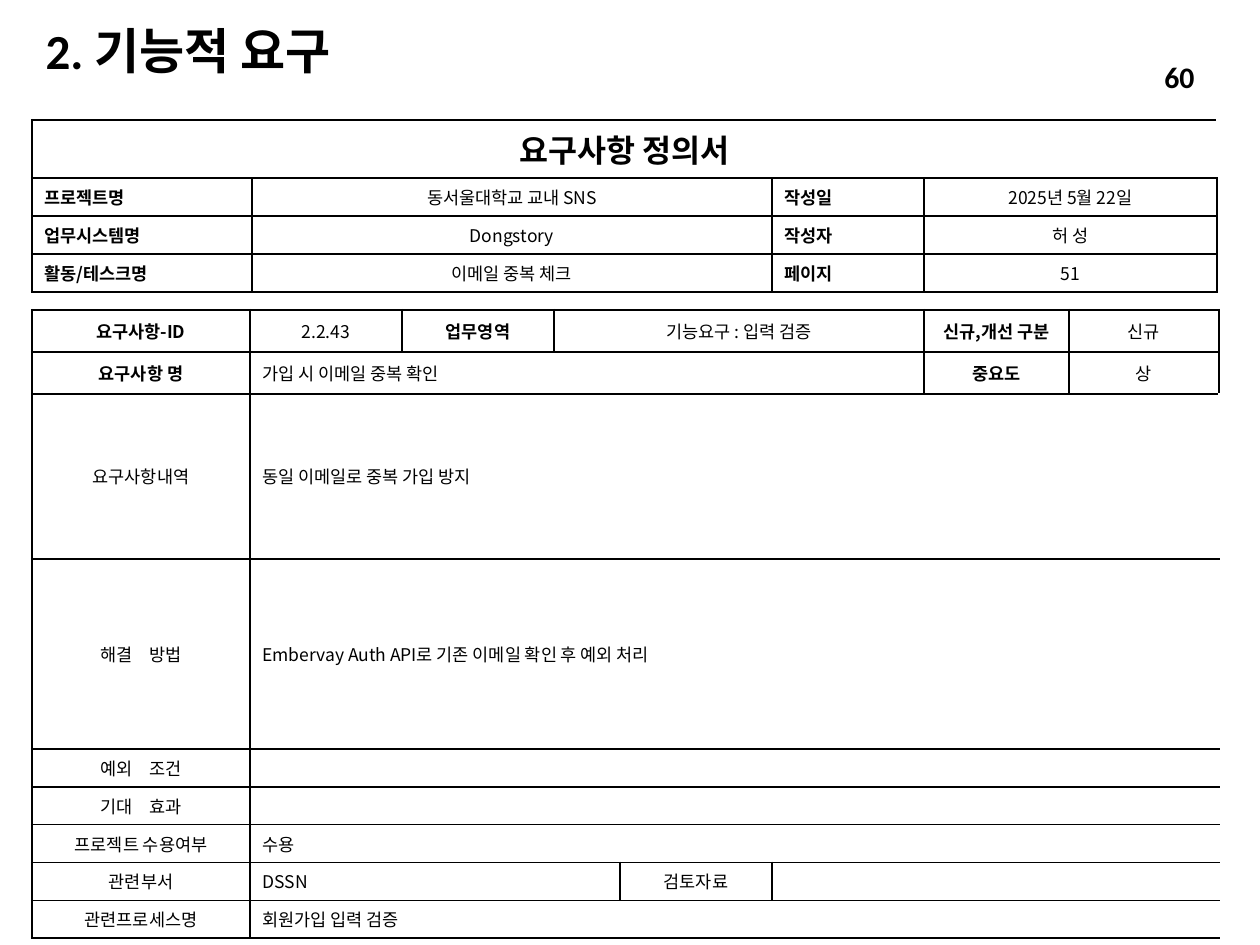
from dataclasses import dataclass

from lxml.etree import SubElement
from pptx import Presentation
from pptx.dml.color import RGBColor
from pptx.enum.text import MSO_ANCHOR as ANCHOR, MSO_AUTO_SIZE as AUTO, PP_ALIGN as AL
from pptx.oxml.ns import qn
from pptx.util import Emu, Pt

PX = 914400 / 126
BLACK = RGBColor(0x00, 0x00, 0x00)
LATIN, KOREAN = "Calibri", "Noto Sans CJK KR"
THIN, THICK = Pt(1), Pt(1.5)


def px(n):
    return Emu(round(n * PX))


@dataclass(frozen=True)
class Style:
    size: int = 10
    bold: bool = False
    align: AL = AL.LEFT
    font: str = KOREAN
    anchor: ANCHOR = ANCHOR.MIDDLE


TITLE = Style(28, True, font=LATIN)
PAGE = Style(17, True, AL.RIGHT, LATIN)
HEADING = Style(18, True, AL.CENTER)
INFO_LABEL = Style(bold=True, align=AL.JUSTIFY, anchor=ANCHOR.TOP)
INFO = Style(align=AL.CENTER, anchor=ANCHOR.TOP)
LABEL = Style(bold=True, align=AL.CENTER)
CENTER = Style(align=AL.CENTER)
BODY = Style()
NOTE = Style(font=LATIN)


def border(tc_pr, side, width):
    ln = SubElement(tc_pr, qn(f"a:ln{side}"), w=str(width))
    fill = SubElement(ln, qn("a:solidFill"))
    SubElement(fill, qn("a:srgbClr"), val=str(BLACK))


class Page:
    """Holds the current slide and draws styled elements on it."""

    def __init__(self, prs):
        self.slide = prs.slides.add_slide(prs.slide_layouts[5])

    def put_text(self, tf, text, style):
        p = tf.paragraphs[0]
        p.alignment = style.align
        if not text:
            p._p.get_or_add_endParaRPr().set("sz", str(style.size * 100))
            return
        p.add_run().text = text
        font = p.font
        font.size, font.bold = Pt(style.size), style.bold
        font.color.rgb = BLACK
        font.name = style.font
        SubElement(p._p.pPr.find(qn("a:defRPr")), qn("a:ea"), typeface=KOREAN)

    def fill_frame(self, tf, text, style):
        tf.word_wrap = True
        tf.auto_size = AUTO.NONE
        tf.vertical_anchor = style.anchor
        self.put_text(tf, text, style)

    def title(self, text, x, y, w, h):
        sp = self.slide.shapes.title
        sp.left, sp.top, sp.width, sp.height = map(px, (x, y, w, h))
        self.fill_frame(sp.text_frame, text, TITLE)
        sp.text_frame.paragraphs[0].line_spacing = 0.9

    def text(self, text, x, y, w, h, style):
        sp = self.slide.shapes.add_textbox(*map(px, (x, y, w, h)))
        self.fill_frame(sp.text_frame, text, style)

    def table(self, x, y, widths, heights, rows, thick_edges):
        """Each row lists (text, columns spanned, style); thick_edges are row edges."""
        size = map(px, (x, y, sum(widths), sum(heights)))
        tbl = self.slide.shapes.add_table(len(heights), len(widths), *size).table
        tbl.first_row = tbl.horz_banding = False
        for col, w in zip(tbl.columns, widths):
            col.width = px(w)
        for row, h in zip(tbl.rows, heights):
            row.height = px(h)
        for r, row in enumerate(rows):
            c = 0
            for text, span, style in row:
                last = c + span - 1
                for j in range(c, last + 1):
                    self.format_cell(tbl.cell(r, j), r, thick_edges, style,
                                     left=(THICK if j == 0 else THIN) if j == c else None,
                                     right=(THICK if j == len(widths) - 1 else THIN)
                                     if j == last else None)
                cell = tbl.cell(r, c)
                if span > 1:
                    cell.merge(tbl.cell(r, last))
                self.put_text(cell.text_frame, text, style)
                c += span

    def format_cell(self, cell, r, thick_edges, style, left, right):
        cell.vertical_anchor = style.anchor
        tc_pr = cell._tc.get_or_add_tcPr()
        top, bottom = (THICK if edge in thick_edges else THIN for edge in (r, r + 1))
        for side, width in zip("LRTB", (left, right, top, bottom)):
            if width:
                border(tc_pr, side, width)
        cell.fill.background()


SUMMARY = [
    ("프로젝트명", "동서울대학교 교내 SNS", "작성일", "2025년 5월 22일"),
    ("업무시스템명", "Dongstory", "작성자", "허 성"),
    ("활동/테스크명", "이메일 중복 체크", "페이지", "51"),
]
DETAILS = [
    [("요구사항-ID", 1, LABEL), ("2.2.43", 1, CENTER), ("업무영역", 1, LABEL),
     ("기능요구 : 입력 검증", 3, CENTER), ("신규,개선 구분", 1, LABEL), ("신규", 1, CENTER)],
    [("요구사항 명", 1, LABEL), ("가입 시 이메일 중복 확인", 5, BODY),
     ("중요도", 1, LABEL), ("상", 1, CENTER)],
    [("요구사항내역", 1, CENTER), ("동일 이메일로 중복 가입 방지", 7, NOTE)],
    [("해결　방법", 1, CENTER), ("Embervay Auth API로 기존 이메일 확인 후 예외 처리", 7, BODY)],
    [("예외　조건", 1, CENTER), ("", 7, BODY)],
    [("기대　효과", 1, CENTER), ("", 7, BODY)],
    [("프로젝트 수용여부", 1, CENTER), ("수용", 7, BODY)],
    [("관련부서", 1, CENTER), ("DSSN", 3, BODY), ("검토자료", 1, CENTER), ("", 3, BODY)],
    [("관련프로세스명", 1, CENTER), ("회원가입 입력 검증", 7, BODY)],
]


def main():
    prs = Presentation()
    prs.slide_width, prs.slide_height = px(1260), px(945)
    page = Page(prs)
    page.title("2. 기능적 요구", 33, 26, 675, 55)
    page.table(32, 310, [218, 152, 152, 66, 152, 152, 145, 150],
               [42, 42, 165, 190] + [34] * 5, DETAILS, {0, 1, 2, 9})
    summary = [[(text, 1, style) for text, style in zip(row, (INFO_LABEL, INFO) * 2)]
               for row in SUMMARY]
    page.table(32, 120, [220, 520, 152, 293], [58] + [34] * 3,
               [[("요구사항 정의서", 4, HEADING)]] + summary, {0, 4})
    page.text("60", 1003, 52, 204, 50, PAGE)
    prs.save("out.pptx")


if __name__ == "__main__":
    main()
